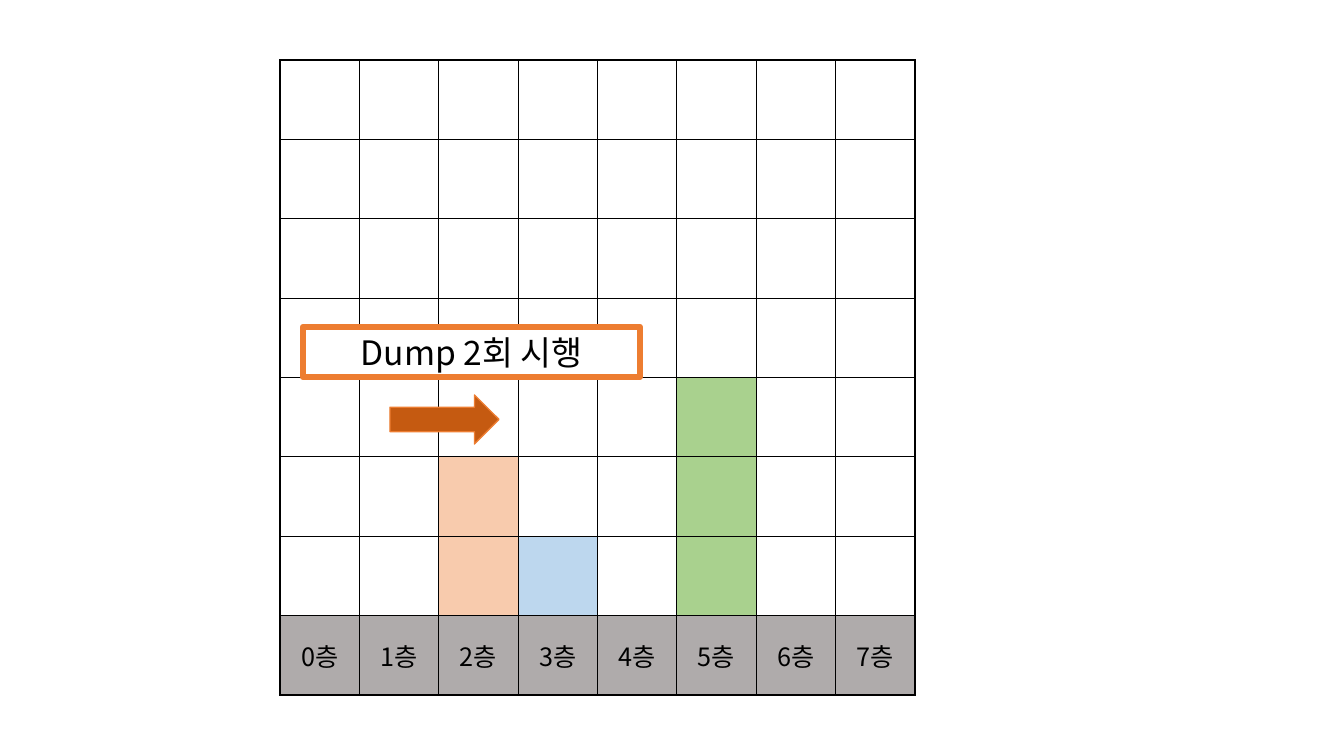
from dataclasses import dataclass

from lxml.etree import SubElement
from pptx import Presentation
from pptx.dml.color import RGBColor
from pptx.enum.shapes import MSO_SHAPE
from pptx.enum.text import MSO_ANCHOR, MSO_AUTO_SIZE, PP_ALIGN
from pptx.oxml.ns import qn
from pptx.util import Emu, Pt

EMU_PER_PX = 914400 / 100.8
FLOORS = 8
# Floor number: (boxes stacked on it, colour name)
STACKS = {2: (2, "peach"), 3: (1, "sky"), 5: (3, "green")}


@dataclass(frozen=True)
class Theme:
    font: str = "Noto Sans CJK KR"
    black: str = "000000"
    white: str = "FFFFFF"
    floor: str = "AFABAB"
    peach: str = "F8CBAD"
    sky: str = "BDD7EE"
    green: str = "A9D18E"
    accent: str = "ED7D31"
    arrow: str = "C55A11"
    label_size: int = 18
    caption_size: int = 24


THEME = Theme()


def px(length):
    return Emu(round(length * EMU_PER_PX))


def rgb(colour):
    return RGBColor.from_string(colour)


def write(frame, text, *, size, colour=THEME.black, align=PP_ALIGN.CENTER):
    paragraph = frame.paragraphs[0]
    paragraph.alignment = align
    run = paragraph.add_run()
    run.text = text
    run.font.size = Pt(size)
    run.font.name = THEME.font
    run.font.color.rgb = rgb(colour)
    east_asian = SubElement(run.font._element, qn("a:ea"))
    east_asian.set("typeface", THEME.font)


def fill_cell(cell, colour):
    """Draw the four black borders, then the fill."""
    properties = cell._tc.get_or_add_tcPr()
    for side in ("a:lnL", "a:lnR", "a:lnT", "a:lnB"):
        border = SubElement(properties, qn(side), w=str(Pt(1)))
        solid = SubElement(border, qn("a:solidFill"))
        SubElement(solid, qn("a:srgbClr"), val=THEME.black)
    cell.fill.solid()
    cell.fill.fore_color.rgb = rgb(colour)


def cell_colour(height, floor):
    if height == 0:
        return THEME.floor
    boxes, colour = STACKS.get(floor, (0, "white"))
    return getattr(THEME, colour) if height <= boxes else THEME.white


def add_floor_grid(slide, left, top, side):
    grid = slide.shapes.add_table(
        FLOORS, FLOORS, px(left), px(top), px(side), px(side)
    ).table
    grid.first_row = False
    grid.horz_banding = False
    for row in range(FLOORS):
        grid.rows[row].height = px(side / FLOORS)
        grid.columns[row].width = px(side / FLOORS)
        for floor in range(FLOORS):
            height = FLOORS - 1 - row
            cell = grid.cell(row, floor)
            fill_cell(cell, cell_colour(height, floor))
            if height == 0:
                cell.vertical_anchor = MSO_ANCHOR.MIDDLE
                write(cell.text_frame, f"{floor}층", size=THEME.label_size)


def add_block(slide, preset, left, top, width, height, *, fill, line_width):
    block = slide.shapes.add_shape(
        preset, px(left), px(top), px(width), px(height)
    )
    block.shadow.inherit = False
    block.fill.solid()
    block.fill.fore_color.rgb = rgb(fill)
    block.line.color.rgb = rgb(THEME.accent)
    block.line.width = Pt(line_width)
    return block


def main():
    deck = Presentation()
    deck.slide_width, deck.slide_height = px(1344), px(756)
    slide = deck.slides.add_slide(deck.slide_layouts[6])

    # Floors with their stacked boxes
    add_floor_grid(slide, 280, 60, 635)

    # Caption
    caption = add_block(slide, MSO_SHAPE.RECTANGLE, 303, 327, 337, 50,
                        fill=THEME.white, line_width=4.5)
    frame = caption.text_frame
    frame.word_wrap = True
    frame.auto_size = MSO_AUTO_SIZE.SHAPE_TO_FIT_TEXT
    frame.vertical_anchor = MSO_ANCHOR.TOP
    write(frame, "Dump 2회 시행", size=THEME.caption_size)

    # Direction of the move
    add_block(slide, MSO_SHAPE.RIGHT_ARROW, 390, 395, 109, 49,
              fill=THEME.arrow, line_width=1)

    deck.save("out.pptx")


if __name__ == "__main__":
    main()
